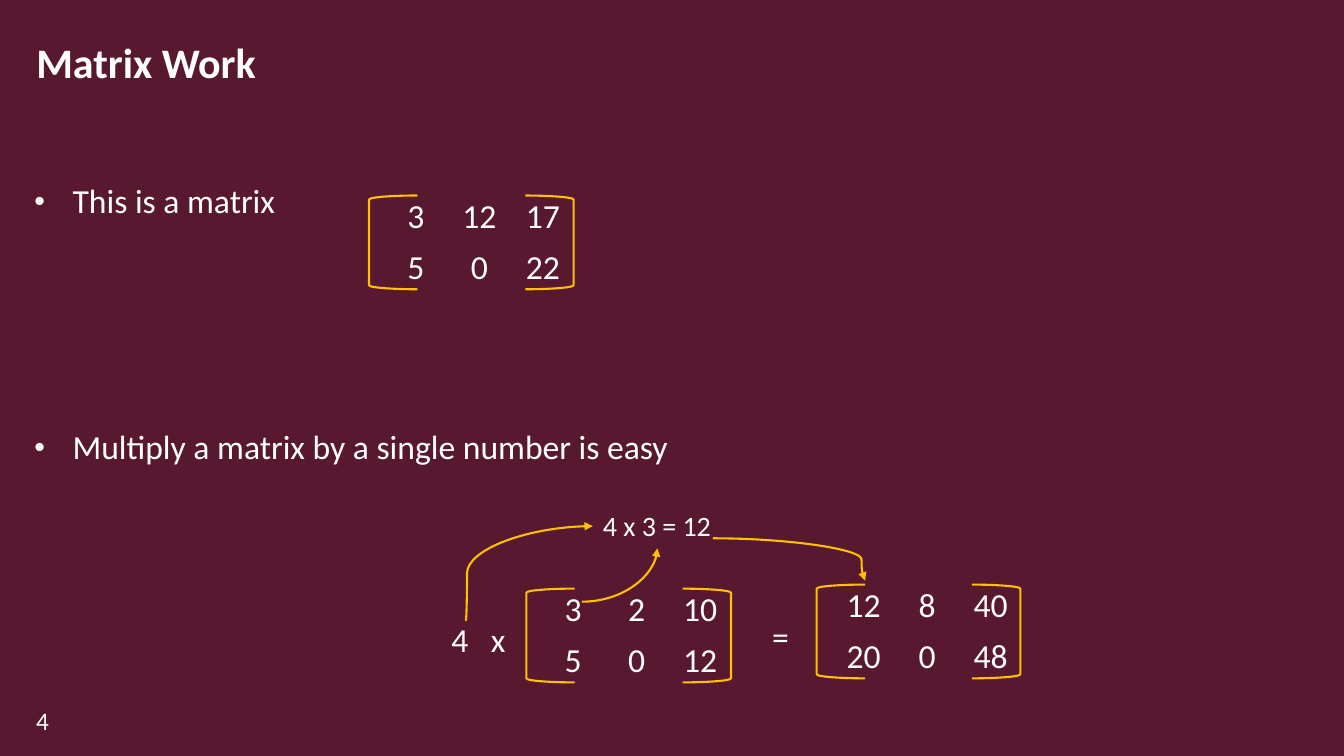
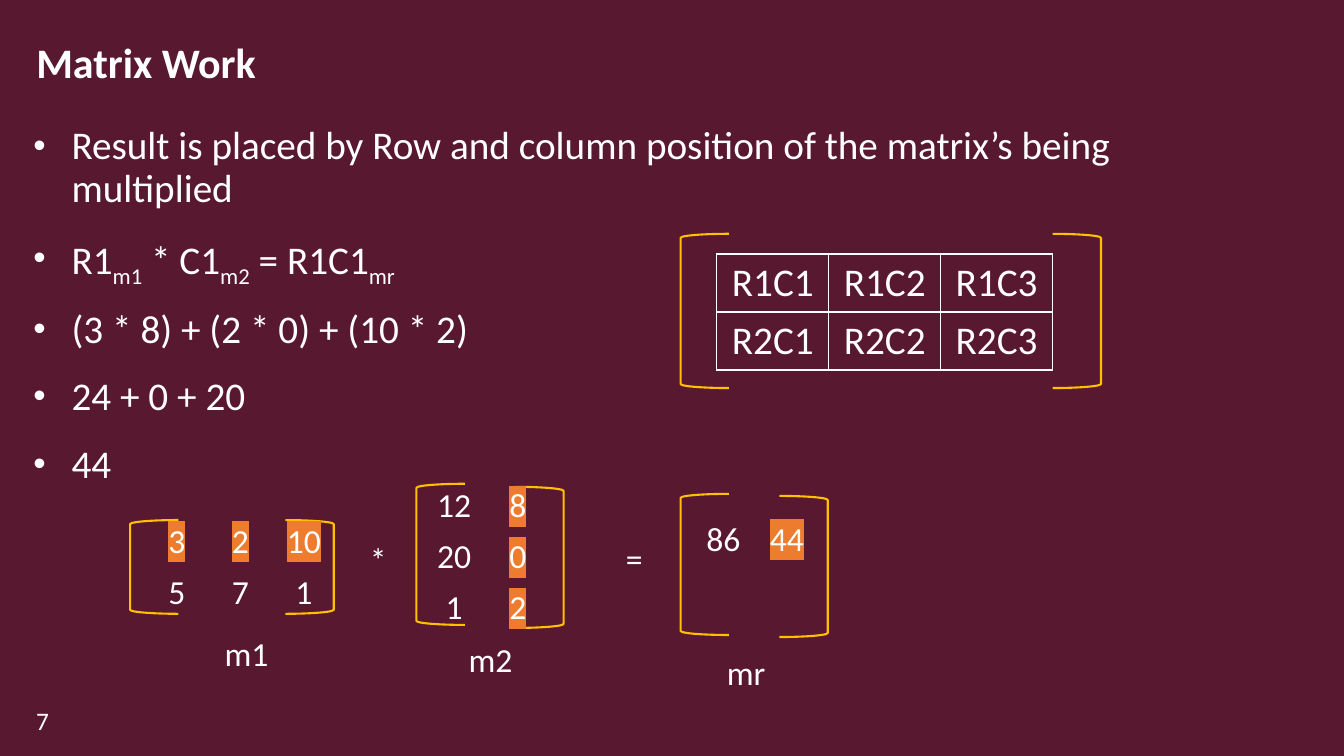
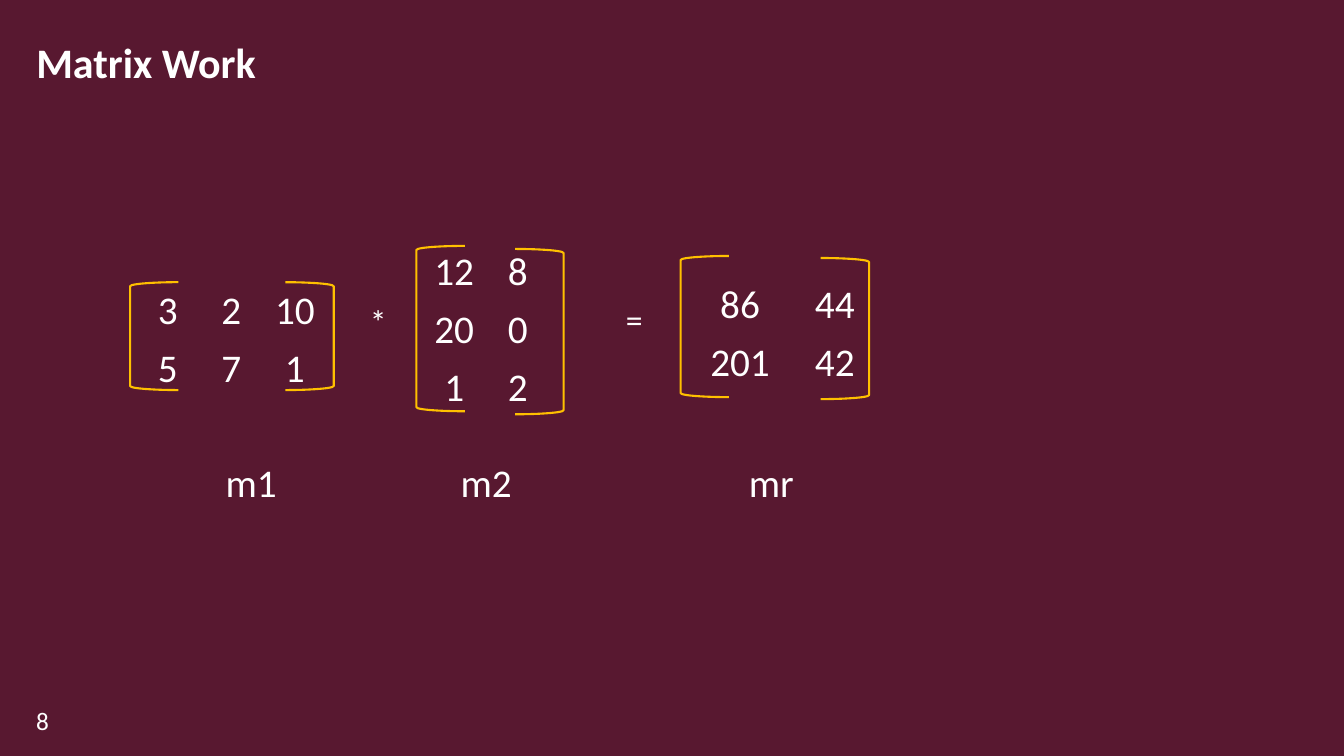
from pptx import Presentation
from pptx.dml.color import RGBColor
from pptx.enum.shapes import MSO_CONNECTOR, MSO_SHAPE
from pptx.enum.text import MSO_ANCHOR, MSO_AUTO_SIZE, PP_ALIGN
from pptx.oxml import parse_xml
from pptx.oxml.ns import nsdecls, qn
from pptx.util import Inches, Pt

BURGUNDY = RGBColor(0x58, 0x18, 0x30)
WHITE = RGBColor(0xFF, 0xFF, 0xFF)
GOLD = RGBColor(0xFF, 0xC0, 0x00)
ORANGE = RGBColor(0xED, 0x7C, 0x2F)
FONT = "Calibri"
PLAIN_TABLE = "{2D5ABB26-0587-4C30-8999-92F81FD0307C}"
A = nsdecls("a")


def write(p, text, size=24, bold=False, align=PP_ALIGN.LEFT, baseline=0, highlight=None):
    p.alignment = align
    r = p.add_run()
    r.text = text
    r.font.name = FONT
    r.font.size = Pt(size)
    r.font.bold = bold
    r.font.color.rgb = WHITE
    rPr = r.font._element
    if baseline:
        rPr.set("baseline", str(baseline * 1000))
    if highlight:
        rPr.find(qn("a:solidFill")).addnext(parse_xml(
            f'<a:highlight {A}><a:srgbClr val="{highlight}"/></a:highlight>'))


def add_matrix(s, left, right, height, corner, rows, size=24, col=0.63, marked=(), border=False):
    for kind, (x, y) in ((MSO_SHAPE.LEFT_BRACKET, left), (MSO_SHAPE.RIGHT_BRACKET, right)):
        sp = s.shapes.add_shape(kind, Inches(x), Inches(y), Inches(0.48), Inches(height))
        sp.shadow.inherit = False
        sp.fill.background()
        sp.line.color.rgb = GOLD
        sp.line.width = Pt(1.5)
    n = len(rows[0])
    row_height = 0.5 if size == 24 else 0.57
    frame = s.shapes.add_table(len(rows), n, Inches(corner[0]), Inches(corner[1]),
                               Inches(col * n), Inches(row_height * len(rows)))
    table = frame.table
    table.first_row = table.horz_banding = False
    frame.element.find(".//" + qn("a:tableStyleId")).text = PLAIN_TABLE
    for column in table.columns:
        column.width = Inches(col)
    for i, row in enumerate(rows):
        table.rows[i].height = Inches(row_height)
        for j, value in enumerate(row):
            cell = table.cell(i, j)
            if border:
                tcPr = cell._tc.get_or_add_tcPr()
                for side in ("lnL", "lnR", "lnT", "lnB"):
                    tcPr.append(parse_xml(
                        f'<a:{side} {A} w="12700"><a:solidFill><a:srgbClr val="{WHITE}"/>'
                        f'</a:solidFill></a:{side}>'))
            cell.fill.background()
            if value:
                write(cell.text_frame.paragraphs[0], value, size=size, align=PP_ALIGN.CENTER,
                      highlight=ORANGE if (i, j) in marked else None)


prs = Presentation()
prs.slide_width, prs.slide_height = Inches(13.33), Inches(7.5)
fill = prs.slide_master.background.fill
fill.solid()
fill.fore_color.rgb = BURGUNDY

SIMPLE = [["3", "2", "10"], ["5", "7", "1"]]
FACTOR = [["12", "8"], ["20", "0"], ["1", "2"]]

slides = [
    {
        "number": "4",
        "body": (0.16, 1.74, 12.31, 4.87, 24),
        "bullets": [
            (10, [("This is a matrix", 0)]),
            (142, [("Multiply a matrix by a single number is easy", 0)]),
        ],
        "matrices": [
            dict(left=(3.66, 1.94), right=(5.21, 1.94), height=0.93, corner=(3.81, 1.9),
                 rows=[["3", "12", "17"], ["5", "0", "22"]]),
            dict(left=(5.22, 5.84), right=(6.77, 5.84), height=0.93, corner=(5.37, 5.8),
                 rows=[["3", "2", "10"], ["5", "0", "12"]]),
            dict(left=(8.1, 5.8), right=(9.64, 5.8), height=0.93, corner=(8.25, 5.76),
                 rows=[["12", "8", "40"], ["20", "0", "48"]]),
        ],
        "labels": [("4", 4.38, 6.09, 0.37, 24), ("x", 4.77, 6.09, 0.35, 24),
                   ("=", 7.56, 6.06, 0.37, 24), ("4 x 3 = 12", 5.88, 5, 1.28, 20)],
        "arrows": [
            (4.62, 6.16, 5.88, 5.22, "curvedConnector3", 1000),
            (5.77, 5.97, 6.52, 5.44, "curvedConnector2", None),
            (7.07, 5.34, 8.58, 5.76, "curvedConnector3", 97700),
        ],
    },
    {
        "number": "7",
        "body": (0.15, 1.16, 12.31, 4.24, 28),
        "bullets": [
            (10, [("Result is placed by Row and column position of the matrix’s being multiplied", 0)]),
            (10, [("R1", 0), ("m1", -25), (" * C1", 0), ("m2", -25), (" = R1C1", 0), ("mr", -25)]),
            (10, [("(3 * 8) + (2 * 0) + (10 * 2)", 0)]),
            (10, [("24 + 0 + 20", 0)]),
            (10, [("44", 0)]),
        ],
        "matrices": [
            dict(left=(1.29, 5.16), right=(2.83, 5.16), height=0.93, corner=(1.44, 5.12),
                 rows=SIMPLE, marked=[(0, 0), (0, 1), (0, 2)]),
            dict(left=(4.13, 4.8), right=(5.11, 4.83), height=1.4, corner=(4.19, 4.77),
                 rows=FACTOR, marked=[(0, 1), (1, 1), (2, 1)]),
            dict(left=(6.75, 4.9), right=(7.73, 4.92), height=1.4, corner=(6.86, 5.1),
                 rows=[["86", "44"], ["", ""]], marked=[(0, 1)]),
            dict(left=(6.75, 2.32), right=(10.44, 2.32), height=1.53, corner=(7.11, 2.52),
                 rows=[[f"R{i}C{j}" for j in (1, 2, 3)] for i in (1, 2)],
                 size=28, col=1.11, border=True),
        ],
        "labels": [("*", 3.57, 5.3, 0.37, 24), ("=", 6.11, 5.29, 0.37, 24),
                   ("m1", 2.13, 6.23, 0.64, 24), ("m2", 4.55, 6.29, 0.64, 24),
                   ("mr", 7.11, 6.42, 0.59, 24)],
        "arrows": [],
    },
    {
        "number": "8",
        "body": None,
        "bullets": [],
        "matrices": [
            dict(left=(1.29, 2.8), right=(2.83, 2.8), height=1.07, corner=(1.35, 2.8),
                 rows=SIMPLE, size=28),
            dict(left=(4.13, 2.44), right=(5.11, 2.47), height=1.64, corner=(4.19, 2.41),
                 rows=FACTOR, size=28),
            dict(left=(6.75, 2.54), right=(8.14, 2.56), height=1.4, corner=(6.87, 2.74),
                 rows=[["86", "44"], ["201", "42"]], size=28, col=0.94),
        ],
        "labels": [("*", 3.57, 2.94, 0.37, 24), ("=", 6.11, 2.92, 0.37, 24),
                   ("m1", 2.14, 4.5, 0.72, 28), ("m2", 4.47, 4.5, 0.72, 28),
                   ("mr", 7.33, 4.5, 0.65, 28)],
        "arrows": [],
    },
]

for content in slides:
    s = prs.slides.add_slide(prs.slide_layouts[1 if content["body"] else 5])

    title = s.shapes.title
    title.left, title.top, title.width, title.height = map(Inches, (0.26, 0.3, 12.81, 0.69))
    tf = title.text_frame
    tf.vertical_anchor = MSO_ANCHOR.MIDDLE
    tf.auto_size = MSO_AUTO_SIZE.NONE
    p = tf.paragraphs[0]
    p.line_spacing = 0.9
    write(p, "Matrix Work", size=30, bold=True)

    if content["body"]:
        body = s.placeholders[1]
        *box, size = content["body"]
        body.left, body.top, body.width, body.height = map(Inches, box)
        tf = body.text_frame
        tf.auto_size = MSO_AUTO_SIZE.NONE
        tf.margin_left = tf.margin_right = Inches(0.18)
        tf.margin_top = tf.margin_bottom = Inches(0.09)
        for i, (space_before, runs) in enumerate(content["bullets"]):
            p = tf.add_paragraph() if i else tf.paragraphs[0]
            p.line_spacing = 0.9
            p.space_before = Pt(space_before)
            p.space_after = Pt(8)
            pPr = p._p.get_or_add_pPr()
            pPr.set("marL", str(Inches(0.38)))
            pPr.set("indent", str(-Inches(0.38)))
            pPr.append(parse_xml(f'<a:buSzPct {A} val="90000"/>'))
            pPr.append(parse_xml(f'<a:buChar {A} char="•"/>'))
            for text, baseline in runs:
                write(p, text, size=size, baseline=baseline)

    for matrix in content["matrices"]:
        add_matrix(s, **matrix)

    for text, x, y, width, size in content["labels"]:
        label = s.shapes.add_textbox(Inches(x), Inches(y), Inches(width), Inches(size / 48))
        tf = label.text_frame
        tf.word_wrap = False
        tf.auto_size = MSO_AUTO_SIZE.SHAPE_TO_FIT_TEXT
        write(tf.paragraphs[0], text, size=size)

    number = s.shapes.add_textbox(Inches(0.26), Inches(6.95), Inches(0.51), Inches(0.4))
    number.text_frame.word_wrap = True
    write(number.text_frame.paragraphs[0], content["number"], size=18)

    for x1, y1, x2, y2, preset, bend in content["arrows"]:
        arrow = s.shapes.add_connector(MSO_CONNECTOR.CURVE, Inches(x1), Inches(y1),
                                       Inches(x2), Inches(y2))
        arrow.line.color.rgb = GOLD
        arrow.line.width = Pt(1.5)
        spPr = arrow.element.spPr
        geometry = spPr.find(qn("a:prstGeom"))
        geometry.set("prst", preset)
        if bend:
            geometry.find(qn("a:avLst")).append(
                parse_xml(f'<a:gd {A} name="adj1" fmla="val {bend}"/>'))
        spPr.find(qn("a:ln")).append(parse_xml(f'<a:tailEnd {A} type="triangle"/>'))
        spPr.append(parse_xml(f'<a:effectLst {A}/>'))

prs.save("out.pptx")
